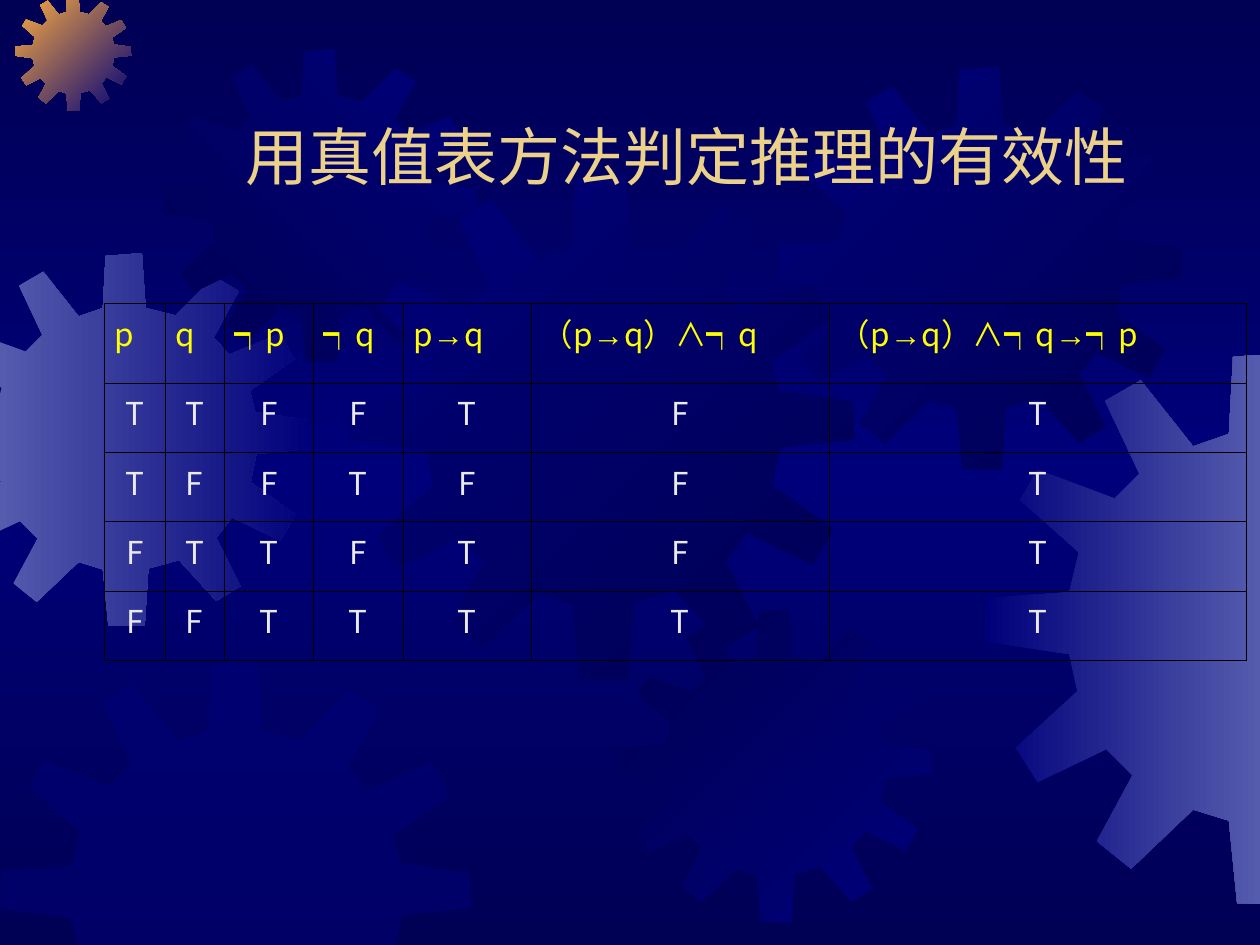
from copy import deepcopy
from itertools import groupby

from pptx import Presentation
from pptx.dml.color import RGBColor
from pptx.enum import text
from pptx.oxml import ns, xmlchemy
from pptx.util import Inches, Pt

NAVY = RGBColor(0x00, 0x00, 0x54)
BLUE = RGBColor(0x00, 0x00, 0x7A)
LAVENDER = RGBColor(0x55, 0x5B, 0xAD)
ORANGE = RGBColor(0xFC, 0xAB, 0x40)
GOLD = RGBColor(0xEB, 0xD1, 0x89)
YELLOW = RGBColor(0xFF, 0xFF, 0x00)
LIGHT = RGBColor(0xEA, 0xEA, 0xEA)

WIDTH, HEIGHT = 10, 7.5
CJK_FONT, ARROW_FONT = "Noto Sans CJK SC", "Arial"

# Outline of the twelve-toothed gear on a square grid
GEAR_GRID = 401
GEAR_OUTLINE = [
    (255, 67), (223, 59), (219, 0), (180, 3), (177, 59), (151, 68), (113, 20), (87, 35),
    (112, 88), (94, 106), (38, 85), (25, 107), (68, 145), (61, 174), (1, 178), (0, 210),
    (61, 219), (67, 246), (22, 287), (38, 312), (88, 288), (107, 307), (81, 355), (106, 375),
    (151, 332), (177, 340), (183, 400), (222, 401), (226, 339), (259, 330), (299, 374),
    (325, 358), (299, 306), (316, 284), (368, 309), (384, 281), (336, 246), (342, 216),
    (401, 210), (400, 180), (341, 171), (335, 148), (383, 114), (367, 87), (313, 109),
    (296, 91), (323, 41), (297, 25),
]
# left, top, size, gradient start, gradient end, clockwise angle (None: see-through)
GEARS = [
    (-0.49, 2.01, 2.96, LAVENDER, BLUE, 0),
    (0.12, -0.04, 0.92, ORANGE, BLUE, 45),
    (1.3, 0.39, 2.48, NAVY, BLUE, 315),
    (2.77, 1.39, 4.01, BLUE, NAVY, 45),
    (0, 5.25, 3.74, BLUE, BLUE, None),
    (4.91, 4.84, 2.48, NAVY, BLUE, 45),
    (6.18, 0.53, 3.2, BLUE, NAVY, 45),
    (7.82, 2.8, 4.38, BLUE, LAVENDER, 0),
]

HEADERS = ["p", "q", "┑p", "┑q", "p→q", "（p→q）∧┑q", "（p→q）∧┑q→┑p"]
TRUTH_VALUES = ["TTFFTFT", "TFFTFFT", "FTTFTFT", "FFTTTTT"]
COLUMN_WIDTHS = [0.48, 0.47, 0.71, 0.71, 1.02, 2.36, 3.31]
HEADER_HEIGHT, ROW_HEIGHT = 0.63, 0.55


def clip(points, axis, limit, sign):
    """Cut a polygon at a line, keeping the side where sign * (value - limit) >= 0."""
    kept = []
    for start, end in zip(points, points[1:] + points[:1]):
        before, after = (sign * (point[axis] - limit) for point in (start, end))
        if before >= 0:
            kept.append(start)
        if before * after < 0:
            share = before / (before - after)
            kept.append(tuple(a + share * (b - a) for a, b in zip(start, end)))
    return kept


def set_gradient(fill, colors, angle):
    fill.gradient()
    stops = fill.gradient_stops
    stop_list = stops[0]._gs.getparent()
    for _ in range(len(colors) - len(stops)):
        stop_list.append(deepcopy(stop_list[0]))
    for index, (stop, color) in enumerate(zip(fill.gradient_stops, colors)):
        stop.color.rgb = color
        stop.position = index / (len(colors) - 1)
    fill.gradient_angle = -angle % 360


def add_gear(slide, left, top, size, start, end, angle):
    scale = size / GEAR_GRID
    points = [(left + x * scale, top + y * scale) for x, y in GEAR_OUTLINE]
    for axis, limit, sign in ((0, 0, 1), (0, WIDTH, -1), (1, 0, 1), (1, HEIGHT, -1)):
        points = clip(points, axis, limit, sign)
    points = [(Inches(x), Inches(y)) for x, y in points]
    builder = slide.shapes.build_freeform(*points[0])
    builder.add_line_segments(points[1:], close=True)
    gear = builder.convert_to_shape()
    gear.shadow.inherit = False
    gear.line.fill.background()
    if angle is None:
        gear.fill.solid()
        gear.fill.fore_color.rgb = start
        color = gear._element.spPr.find(".//" + ns.qn("a:srgbClr"))
        add_child(color, "a:alpha", val="50000")
    else:
        set_gradient(gear.fill, [start, end], angle)


def add_child(parent, tag, **attributes):
    child = xmlchemy.OxmlElement(tag)
    for name, value in attributes.items():
        child.set(name, value)
    parent.append(child)
    return child


def add_run(paragraph, wording, font_name, size, color):
    run = paragraph.add_run()
    run.text = wording
    run.font.name = font_name
    run.font.size = Pt(size)
    run.font.bold = False
    run.font.color.rgb = color
    add_child(run._r.get_or_add_rPr(), "a:ea", typeface=font_name)


def set_borders(cell):
    properties = cell._tc.get_or_add_tcPr()
    for side in ("a:lnL", "a:lnR", "a:lnT", "a:lnB"):
        line = add_child(properties, side, w=str(Pt(0.45)))
        add_child(add_child(line, "a:solidFill"), "a:srgbClr", val="000000")


def fill_cell(cell, wording, color, alignment):
    cell.margin_left = cell.margin_right = Inches(0.08)
    cell.margin_top = cell.margin_bottom = Inches(0.05)
    set_borders(cell)
    cell.fill.background()
    paragraph = cell.text_frame.paragraphs[0]
    paragraph.alignment = alignment
    for is_arrow, letters in groupby(wording, lambda letter: letter == "→"):
        add_run(paragraph, "".join(letters), ARROW_FONT if is_arrow else CJK_FONT, 18, color)


def add_truth_table(slide, left, top):
    heights = [HEADER_HEIGHT] + [ROW_HEIGHT] * len(TRUTH_VALUES)
    table = slide.shapes.add_table(
        len(heights), len(HEADERS), Inches(left), Inches(top),
        Inches(sum(COLUMN_WIDTHS)), Inches(sum(heights))).table
    table.first_row = table.horz_banding = False
    for column, width in zip(table.columns, COLUMN_WIDTHS):
        column.width = Inches(width)
    for row, height in zip(table.rows, heights):
        row.height = Inches(height)
    for index, header in enumerate(HEADERS):
        fill_cell(table.cell(0, index), header, YELLOW, text.PP_ALIGN.JUSTIFY)
    for row_index, values in enumerate(TRUTH_VALUES, start=1):
        for index, value in enumerate(values):
            fill_cell(table.cell(row_index, index), value, LIGHT, text.PP_ALIGN.CENTER)


def place_title(slide, left, top, width, height):
    title = slide.shapes.title
    title.left, title.top = Inches(left), Inches(top)
    title.width, title.height = Inches(width), Inches(height)
    frame = title.text_frame
    frame.word_wrap = True
    frame.auto_size = text.MSO_AUTO_SIZE.NONE
    frame.vertical_anchor = text.MSO_ANCHOR.BOTTOM
    paragraph = frame.paragraphs[0]
    paragraph.alignment = text.PP_ALIGN.CENTER
    add_run(paragraph, "用真值表方法判定推理的有效性", CJK_FONT, 36, GOLD)
    slide.shapes._spTree.append(title._element)  # in front of the gears


def main():
    presentation = Presentation()
    presentation.slide_width, presentation.slide_height = Inches(WIDTH), Inches(HEIGHT)
    slide = presentation.slides.add_slide(presentation.slide_layouts[5])
    set_gradient(slide.background.fill, [NAVY, BLUE, NAVY], 90)
    for gear in GEARS:
        add_gear(slide, *gear)
    add_truth_table(slide, 0.83, 2.41)
    place_title(slide, 1.2, 0.91, 8.5, 0.67)
    presentation.save("out.pptx")


if __name__ == "__main__":
    main()
